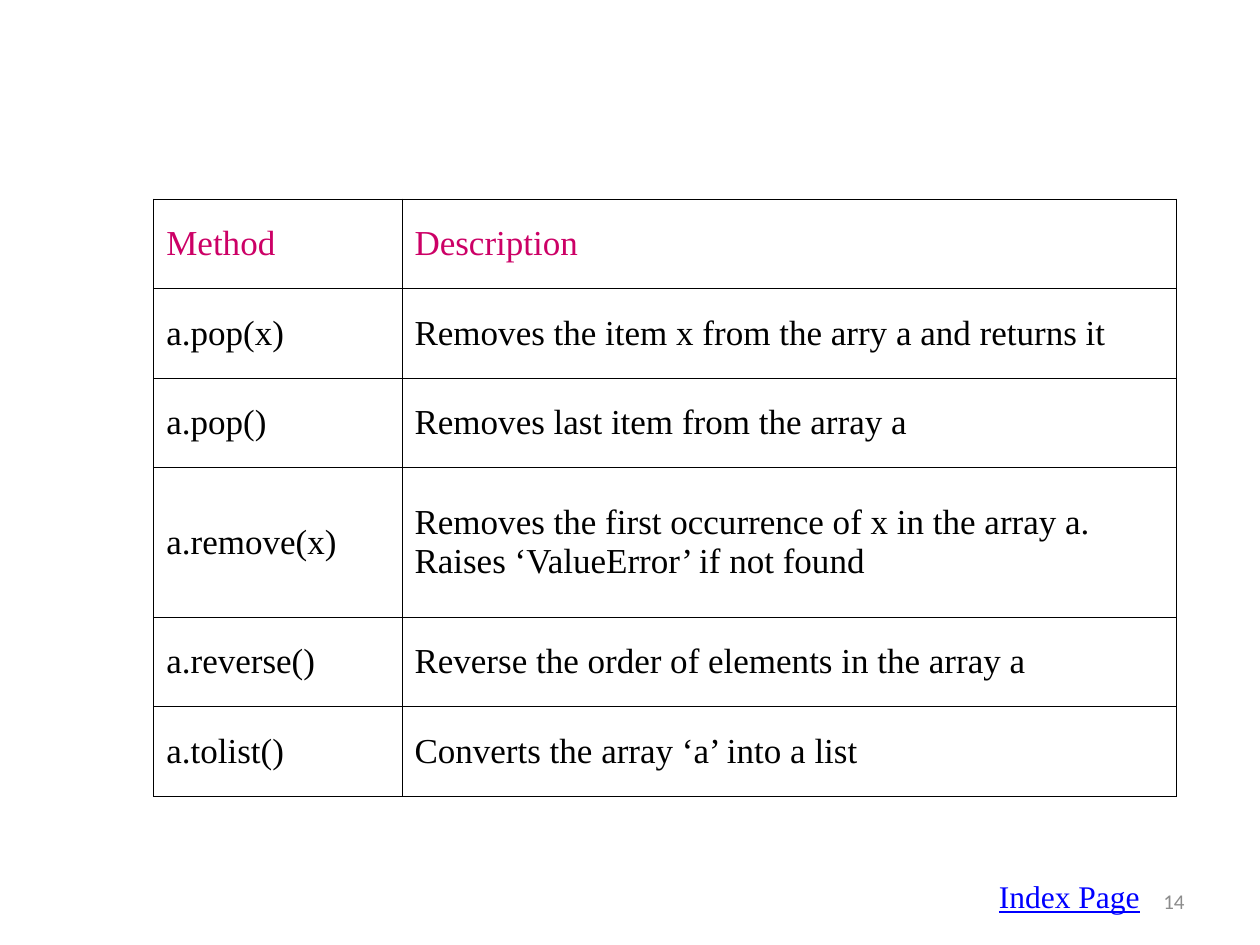
import pptx
import pptx.util
import pptx.dml.color
import pptx.enum.text
import pptx.oxml
from lxml import etree

Inches, Pt = pptx.util.Inches, pptx.util.Pt
ALIGN = pptx.enum.text.PP_ALIGN
MIDDLE = pptx.enum.text.MSO_ANCHOR.MIDDLE
TOP = pptx.enum.text.MSO_ANCHOR.TOP

# Content
COLORS = {"header": "CC0066", "body": "000000", "border": "000000",
          "link": "0000FF", "number": "8C8C8C"}
SERIF, SANS = "Times New Roman", "Calibri"
METHODS = [
    ("Method", "Description"),
    ("a.pop(x)", "Removes the item x from the arry a and returns it"),
    ("a.pop()", "Removes last item from the array a"),
    ("a.remove(x)", "Removes the first occurrence of x in the array a. "
                    "Raises ‘ValueError’ if not found"),
    ("a.reverse()", "Reverse the order of elements in the array a"),
    ("a.tolist()", "Converts the array ‘a’ into a list"),
]
COL_WIDTHS = (1.97, 6.15)
ROW_HEIGHT, TALL_ROW, TALL_HEIGHT = 0.71, 3, 1.19


def add_run(p, text, size, font, color, underline=None):
    r = p.add_run()
    r.text = text
    r.font.size, r.font.name, r.font.underline = Pt(size), font, underline
    r.font.color.rgb = pptx.dml.color.RGBColor.from_string(COLORS[color])


def add_borders(cell, color, width):
    tcPr = cell._tc.get_or_add_tcPr()
    for i, side in enumerate(("lnL", "lnR", "lnT", "lnB")):
        ln = etree.Element(pptx.oxml.ns.qn("a:" + side), w=str(Pt(width)))
        fill = etree.SubElement(ln, pptx.oxml.ns.qn("a:solidFill"))
        etree.SubElement(fill, pptx.oxml.ns.qn("a:srgbClr"), val=COLORS[color])
        tcPr.insert(i, ln)


def add_label(box, anchor, align, wrap, *run):
    tf = s.shapes.add_textbox(*map(Inches, box)).text_frame
    tf.word_wrap, tf.vertical_anchor = wrap, anchor
    p = tf.paragraphs[0]
    p.alignment = align
    add_run(p, *run)


prs = pptx.Presentation()
prs.slide_width, prs.slide_height = Inches(10), Inches(7.5)
s = prs.slides.add_slide(prs.slide_layouts[6])

# Method table
heights = [TALL_HEIGHT if i == TALL_ROW else ROW_HEIGHT for i in range(len(METHODS))]
table = s.shapes.add_table(len(METHODS), len(COL_WIDTHS), Inches(1.22), Inches(1.58),
                           Inches(sum(COL_WIDTHS)), Inches(sum(heights))).table
table.first_row = table.horz_banding = False
for col, width in zip(table.columns, COL_WIDTHS):
    col.width = Inches(width)
for i, (row, height, texts) in enumerate(zip(table.rows, heights, METHODS)):
    row.height = Inches(height)
    for cell, text in zip(row.cells, texts):
        cell.fill.background()
        cell.vertical_anchor = MIDDLE
        add_borders(cell, "border", 0.5)
        add_run(cell.text_frame.paragraphs[0], text, 20, SERIF,
                "body" if i else "header")

# Footer
add_label((7.17, 6.95, 2.33, 0.4), MIDDLE, ALIGN.RIGHT, True, "14", 12, SANS, "number")
add_label((7.83, 6.91, 1.33, 0.4), TOP, ALIGN.JUSTIFY, False,
          "Index Page", 18, SERIF, "link", True)

prs.save("out.pptx")
